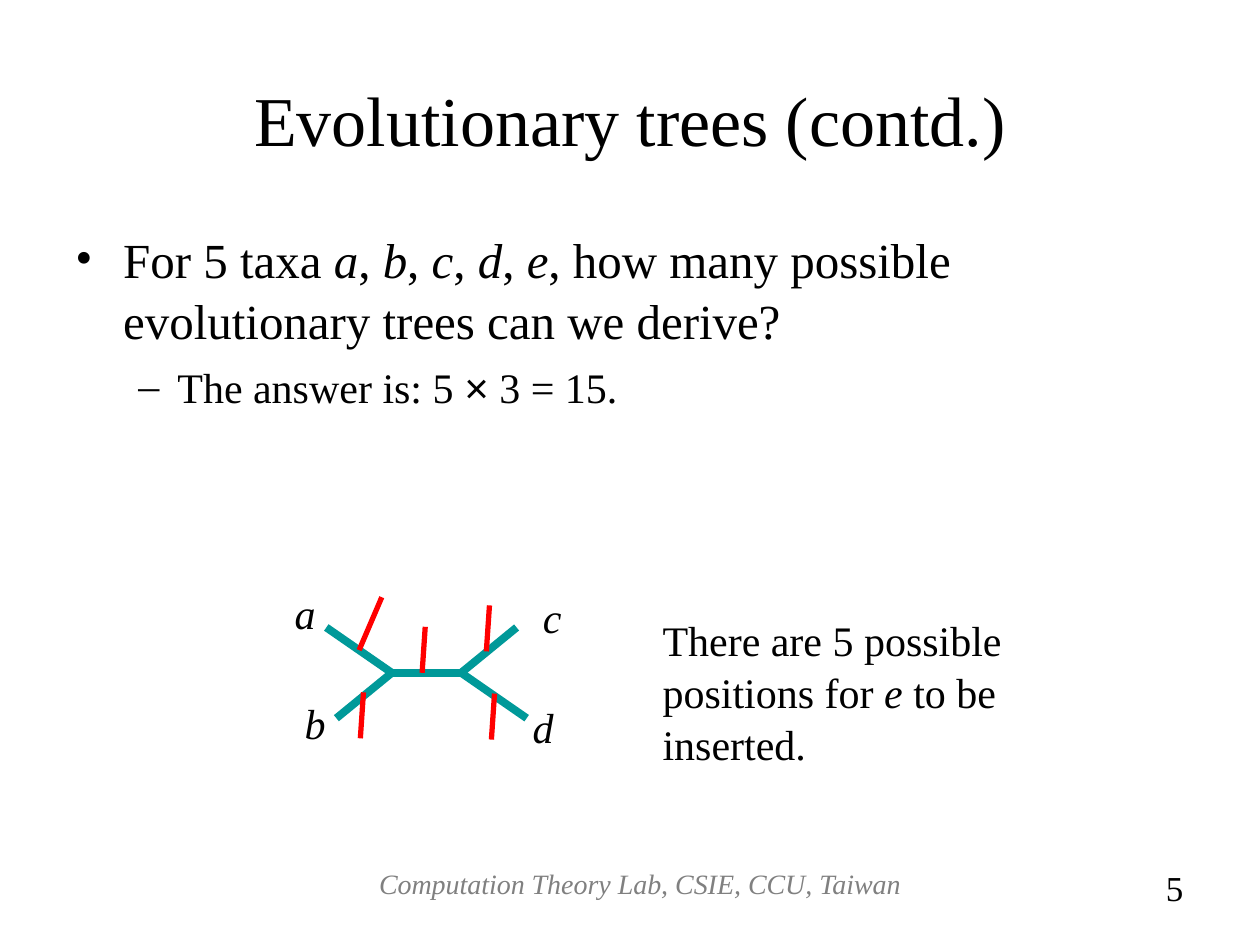
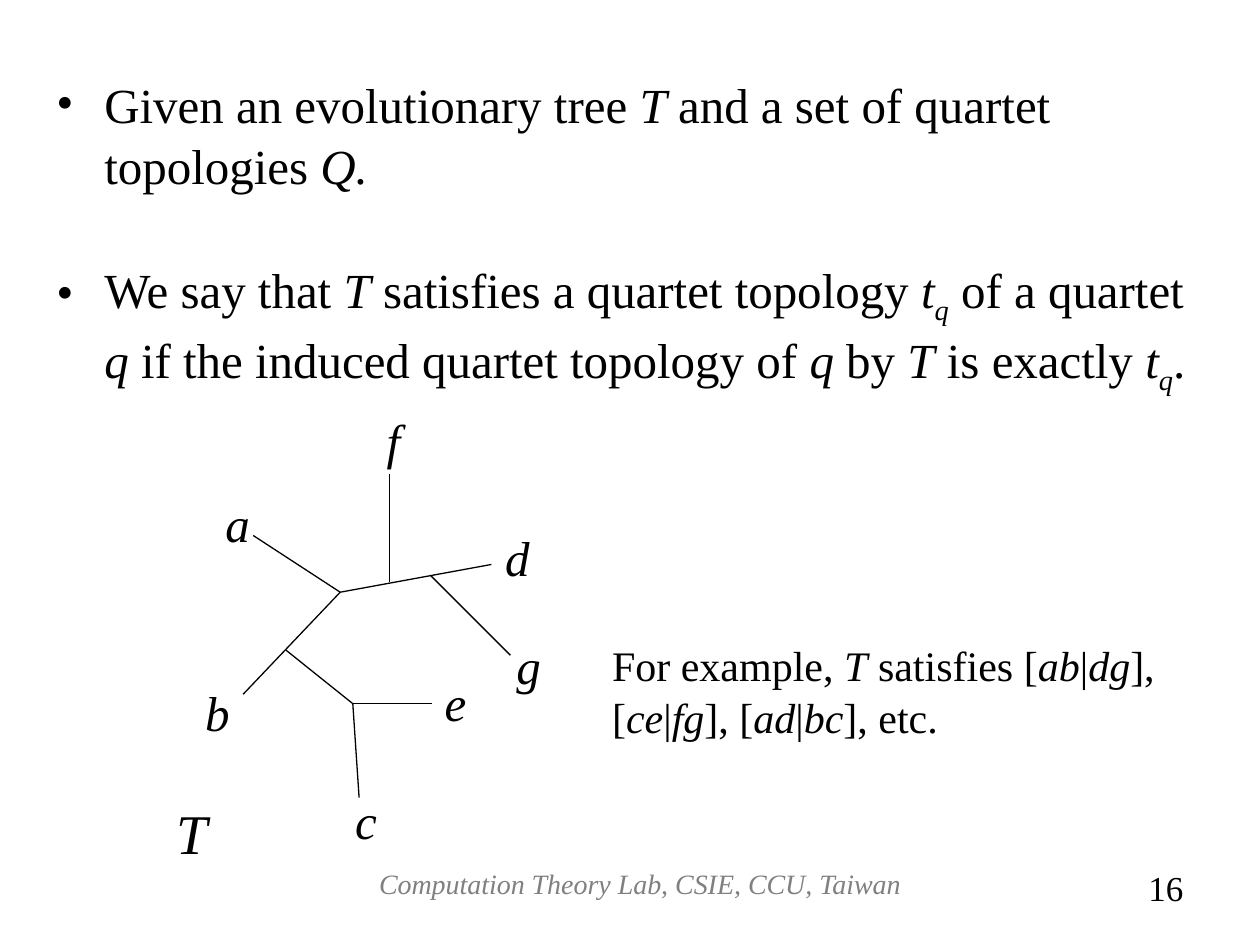
from lxml import etree
from pptx import Presentation
from pptx.dml.color import RGBColor
from pptx.enum.shapes import MSO_CONNECTOR
from pptx.enum.text import MSO_ANCHOR, PP_ALIGN
from pptx.oxml.ns import qn
from pptx.util import Inches, Pt

STRAIGHT = MSO_CONNECTOR.STRAIGHT
TOP, MIDDLE = MSO_ANCHOR.TOP, MSO_ANCHOR.MIDDLE
LEFT, CENTER, RIGHT = PP_ALIGN.LEFT, PP_ALIGN.CENTER, PP_ALIGN.RIGHT

BLACK = RGBColor(0x00, 0x00, 0x00)
GRAY = RGBColor(0x80, 0x80, 0x80)
TEAL = RGBColor(0x00, 0x99, 0x99)
RED = RGBColor(0xFF, 0x00, 0x00)

SERIF, SANS = "Times New Roman", "Arial"
WIDTH, HEIGHT = Inches(10), Inches(7.5)
COLUMNS, ROWS = 100, 75
LOOSE = 1.04  # line spacing of content text
BLANK_LAYOUT = 6

# Each list level: bullet, left margin and hanging indent in inches
LEVELS = [("•", 0.38, 0.38), ("–", 0.81, 0.31)]


def across(columns):
    return round(WIDTH * columns / COLUMNS)


def down(rows):
    return round(HEIGHT * rows / ROWS)


def add_spans(para, text, size, color=BLACK, italic=False):
    """Write text in which *...* is italic, ~...~ subscript and ^...^ sans serif."""
    modes = {"*": italic, "~": False, "^": False}
    piece = ""
    for letter in text + "\n":
        if letter not in modes and letter != "\n":
            piece += letter
            continue
        if piece:
            span = para.add_run()
            span.text = piece
            span.font.name = SANS if modes["^"] else SERIF
            span.font.size = Pt(size)
            span.font.italic = modes["*"]
            span.font.color.rgb = color
            if modes["~"]:
                span.font._element.set("baseline", "-25000")
            piece = ""
        if letter in modes:
            modes[letter] = not modes[letter]


def add_box(page, place, anchor=TOP):
    left, top, width, height = place
    box = page.shapes.add_textbox(across(left), down(top), across(width), down(height))
    box.text_frame.word_wrap = True
    box.text_frame.vertical_anchor = anchor
    return box


def add_text(page, text, place, size=24, align=LEFT, anchor=TOP, spacing=LOOSE, **style):
    para = add_box(page, place, anchor).text_frame.paragraphs[0]
    para.alignment = align
    para.line_spacing = spacing
    add_spans(para, text, size, **style)


def set_bullet(para, level):
    char, margin, hanging = LEVELS[level]
    properties = para._p.get_or_add_pPr()
    properties.set("marL", str(Inches(margin)))
    properties.set("indent", str(-Inches(hanging)))
    etree.SubElement(properties, qn("a:buFont")).set("typeface", SERIF)
    etree.SubElement(properties, qn("a:buChar")).set("char", char)
    para.level = level


def add_bullets(page, place, items):
    """Add a bulleted list; an item is (text, level, size, space before)."""
    frame = add_box(page, place).text_frame
    for index, (text, level, size, before) in enumerate(items):
        para = frame.add_paragraph() if index else frame.paragraphs[0]
        set_bullet(para, level)
        para.line_spacing = LOOSE
        para.space_before = Pt(before)
        add_spans(para, text, size)


def add_line(page, start, end, color=BLACK, weight=0.75):
    line = page.shapes.add_connector(
        STRAIGHT, across(start[0]), down(start[1]), across(end[0]), down(end[1]))
    line.line.color.rgb = color
    line.line.width = Pt(weight)
    etree.SubElement(line._element.spPr, qn("a:effectLst"))


def add_tree(page, nodes, branches, **style):
    """Draw branches given as pairs of node names, such as "ax"."""
    for start, end in branches:
        add_line(page, nodes[start], nodes[end], **style)


def add_taxa(page, corners, width, height, size):
    for name, (left, top) in corners.items():
        add_text(page, name, (left, top, width, height), size=size, italic=True)


def add_page(deck, number):
    page = deck.slides.add_slide(deck.slide_layouts[BLANK_LAYOUT])
    add_text(page, "Computation Theory Lab, CSIE, CCU, Taiwan", (24, 68.3, 53.6, 5.2),
             size=16, align=CENTER, spacing=1.0, color=GRAY, italic=True)
    add_text(page, str(number), (79.9, 68.3, 15, 5.2), size=20, align=RIGHT, spacing=1.0)
    return page


def add_counting_page(deck):
    page = add_page(deck, 5)
    add_text(page, "Evolutionary trees (contd.)", (5, 3, 90, 12.5),
             size=40, align=CENTER, anchor=MIDDLE)
    add_bullets(page, (5, 17.5, 90, 49.5), [
        ("For 5 taxa *a*, *b*, *c*, *d*, *e*, how many possible "
         "evolutionary trees can we derive?", 0, 28, 0),
        ("The answer is: 5 ^×^ 3 = 15.", 1, 24, 6),
    ])

    nodes = {"a": (25.9, 49.8), "b": (26.7, 57), "c": (41, 49.8), "d": (41.8, 57),
             "x": (31.1, 53.4), "y": (36.6, 53.4)}
    add_tree(page, nodes, ["ax", "cy", "bx", "dy", "xy"], color=TEAL, weight=4.5)
    add_taxa(page, {"a": (22.4, 46), "b": (23.2, 54.7),
                    "c": (42.1, 46.3), "d": (41.3, 55)}, 4.7, 5, 24)

    add_line(page, (28.5, 51.6), (30.3, 47.4), RED, 3)
    for left, bottom in [(33.5, 53.4), (28.6, 58.6), (39, 58.7), (38.6, 51.7)]:
        add_line(page, (left, bottom), (left + 0.25, bottom - 3.65), RED, 3)
    add_text(page, "There are 5 possible positions for *e* to be inserted.",
             (51.6, 48.1, 37.8, 13))


def add_satisfying_page(deck):
    page = add_page(deck, 16)
    add_bullets(page, (3.5, 5.2, 93, 58.6), [
        ("Given an evolutionary tree *T *and a set of quartet topologies *Q.*", 0, 28, 0),
        ("We say that *T* satisfies a quartet topology *t~q~* of a quartet *q *if the "
         "induced quartet topology of *q* by *T* is exactly *t~q~*.", 0, 28, 36),
    ])

    nodes = {"a": (20.1, 42.5), "b": (19.3, 55.1), "c": (28.5, 63.3), "d": (39, 44.8),
             "e": (34.3, 55.85), "f": (30.9, 37.6), "g": (40.5, 52),
             "x": (27, 47), "y": (22.7, 51.6), "z": (28, 55.85),
             "u": (30.9, 46.2), "v": (34.2, 45.7)}
    add_tree(page, nodes, ["ax", "bx", "yz", "xd", "zc", "ze", "uf", "vg"])
    add_taxa(page, {"a": (16.9, 38.5), "b": (15.3, 53.5), "c": (27.2, 62.1),
                    "d": (39.1, 41.2), "e": (34.3, 52.7), "f": (29.7, 31.9),
                    "g": (40, 49.8)}, 3.1, 5.7, 28)
    add_text(page, "T", (13, 62.7, 5.5, 6.4), size=32, italic=True)
    add_text(page, "For example, *T* satisfies [*ab*|*dg*], [*ce*|*fg*], [*ad*|*bc*], etc.",
             (47.6, 50.1, 45.7, 9))


def main():
    deck = Presentation()
    deck.slide_width, deck.slide_height = WIDTH, HEIGHT
    add_counting_page(deck)
    add_satisfying_page(deck)
    deck.save("out.pptx")


if __name__ == "__main__":
    main()
